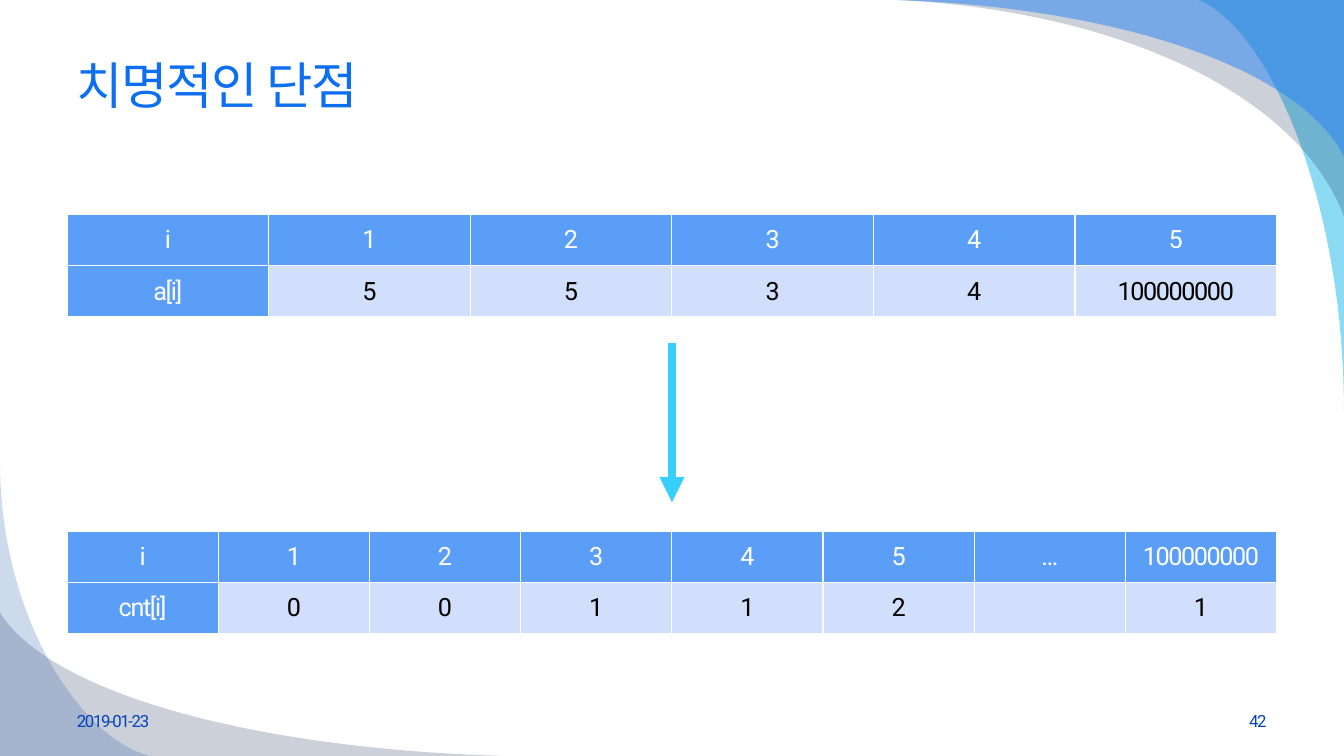
from lxml import etree
from pptx import Presentation
from pptx.dml.color import RGBColor
from pptx.enum.shapes import MSO_CONNECTOR
from pptx.enum.text import MSO_ANCHOR, PP_ALIGN
from pptx.oxml.ns import qn
from pptx.util import Cm, Pt

LEFT, CENTER, RIGHT = PP_ALIGN.LEFT, PP_ALIGN.CENTER, PP_ALIGN.RIGHT
MIDDLE = MSO_ANCHOR.MIDDLE
STRAIGHT = MSO_CONNECTOR.STRAIGHT

WHITE = RGBColor(0xFF, 0xFF, 0xFF)
BLACK = RGBColor(0x00, 0x00, 0x00)
HEAD = RGBColor(0x5B, 0x9E, 0xF7)
PALE = RGBColor(0xD2, 0xDF, 0xFC)
TITLE = RGBColor(0x0C, 0x6F, 0xF2)
FOOT = RGBColor(0x07, 0x43, 0xBC)
ARROW = RGBColor(0x37, 0xCF, 0xFF)
CYAN = RGBColor(0x00, 0xB1, 0xE9)
NAVY = RGBColor(0x02, 0x17, 0x41)
BLUE = RGBColor(0x24, 0x7F, 0xF4)
DEEP = RGBColor(0x08, 0x4A, 0xA1)

WIDE, HIGH = 33.87, 19.05
EDGE, SPAN = 1.69, 30.48
STEPS = 40
STEEP = ((0, 0), (0.49, 0.07), (1, 0.49), (1, 1))
FLAT = ((0, 0), (0.5, 0.05), (0.9, 0.44), (1, 1))


def bend(curve, t):
    """Return the point of a cubic curve at t."""
    parts = ((1 - t) ** 3, 3 * t * (1 - t) ** 2, 3 * t * t * (1 - t), t ** 3)
    return [sum(k * point[axis] for k, point in zip(parts, curve)) for axis in (0, 1)]


def swoosh(slide, box, curve, color, alpha):
    """Fill the area between a curve and its corner; a negative size flips it."""
    left, top, width, height = box
    units = [bend(curve, step / STEPS) for step in range(STEPS + 1)] + [(1, 0)]
    points = [(Cm(left + x * width), Cm(top + y * height)) for x, y in units]
    form = slide.shapes.build_freeform(*points[0])
    form.add_line_segments(points[1:], close=True)
    shape = form.convert_to_shape()
    shape.shadow.inherit = False
    shape.line.fill.background()
    shape.fill.solid()
    shape.fill.fore_color.rgb = color
    tint = shape.fill._xPr.find(".//" + qn("a:srgbClr"))
    etree.SubElement(tint, qn("a:alpha"), val=str(alpha * 1000))


def write(frame, text, size, color, align):
    """Write one line of tightly spaced text into a frame."""
    para = frame.paragraphs[0]
    para.alignment = align
    para.font.name = "Roboto"
    para.font.size = Pt(size)
    para.font.color.rgb = color
    run = para.add_run()
    run.text = text
    run.font.bold = False
    run._r.get_or_add_rPr().set("spc", "-100")


def label(slide, box, text, size, color, align=LEFT):
    """Place a text box with one centred line."""
    frame = slide.shapes.add_textbox(*map(Cm, box)).text_frame
    frame.word_wrap = True
    frame.vertical_anchor = MIDDLE
    write(frame, text, size, color, align)


def grid(slide, box, rows):
    """Place a table with a coloured first row and first column."""
    table = slide.shapes.add_table(len(rows), len(rows[0]), *map(Cm, box)).table
    table.first_col = True
    for r, row in enumerate(rows):
        for c, text in enumerate(row):
            cell = table.cell(r, c)
            main = r == 0 or c == 0
            cell.vertical_anchor = MIDDLE
            cell.fill.solid()
            cell.fill.fore_color.rgb = HEAD if main else PALE
            if text:
                write(cell.text_frame, text, 18, WHITE if main else BLACK, CENTER)


def arrow(slide, x, top, base):
    """Draw a thick arrow pointing down."""
    link = slide.shapes.add_connector(STRAIGHT, Cm(x), Cm(top), Cm(x), Cm(base))
    link.line.color.rgb = ARROW
    link.line.width = Pt(6)
    etree.SubElement(link.line._get_or_add_ln(), qn("a:tailEnd"), type="triangle")
    etree.SubElement(link._element.spPr, qn("a:effectLst"))


def decor(slide):
    """Draw the waves in the top right and bottom left corners."""
    swoosh(slide, (30.2, 0, 3.67, 10.36), STEEP, CYAN, 45)
    swoosh(slide, (22.58, 0, 11.29, 5.46), FLAT, NAVY, 20)
    swoosh(slide, (22.58, 0, 11.29, 3.94), FLAT, BLUE, 49)
    swoosh(slide, (12.7, HIGH, -12.7, -3.61), FLAT, NAVY, 20)
    swoosh(slide, (3.76, HIGH, -3.76, -7.42), STEEP, DEEP, 20)


def main():
    """Build and save the slide."""
    deck = Presentation()
    deck.slide_width, deck.slide_height = Cm(WIDE), Cm(HIGH)
    slide = deck.slides.add_slide(deck.slide_layouts[6])
    decor(slide)
    label(slide, (EDGE, 0.84, SPAN, 2.57), "치명적인 단점", 36, TITLE)
    label(slide, (EDGE, 17.65, 7.9, 1.02), "2019-01-23", 12, FOOT)
    label(slide, (EDGE + SPAN - 7.9, 17.65, 7.9, 1.02), "42", 12, FOOT, RIGHT)
    grid(slide, (EDGE, 5.41, SPAN, 2.58), [
        ["i", "1", "2", "3", "4", "5"],
        ["a[i]", "5", "5", "3", "4", "100000000"],
    ])
    arrow(slide, WIDE / 2, 8.64, 12.65)
    grid(slide, (EDGE, 13.39, SPAN, 2.58), [
        ["i", "1", "2", "3", "4", "5", "…", "100000000"],
        ["cnt[i]", "0", "0", "1", "1", "2", "", "1"],
    ])
    deck.save("out.pptx")


if __name__ == "__main__":
    main()
